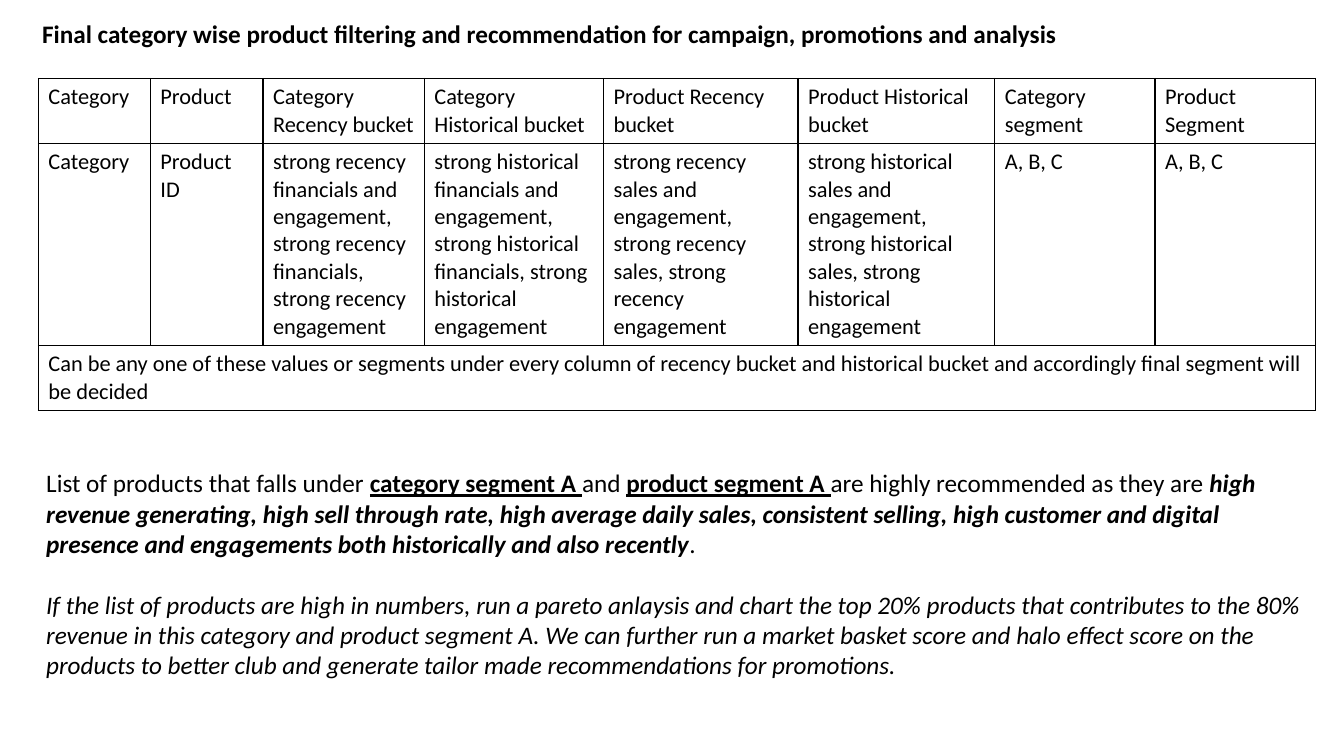
from dataclasses import dataclass

from lxml.etree import SubElement
from pptx import Presentation
from pptx.dml.color import RGBColor
from pptx.enum.text import MSO_AUTO_SIZE
from pptx.oxml.ns import qn
from pptx.util import Pt


@dataclass(frozen=True)
class Theme:
    font: str = "Calibri"
    ink: str = "000000"
    body: int = 18
    cell: int = 16
    border: int = 1
    gap: int = 22


THEME = Theme()

TITLE = "Final category wise product filtering and recommendation for campaign, promotions and analysis"
HEADINGS = ["Category", "Product", "Category Recency bucket", "Category Historical bucket",
            "Product Recency bucket", "Product Historical bucket", "Category segment", "Product Segment"]


def bucket_values(period, measure):
    start = f"strong {period}"
    return f"{start} {measure} and engagement, {start} {measure}, {start} engagement"


VALUES = ["Category", "Product ID",
          *[bucket_values(period, measure)
            for measure in ("financials", "sales") for period in ("recency", "historical")],
          "A, B, C", "A, B, C"]
NOTE = ("Can be any one of these values or segments under every column of recency bucket "
        "and historical bucket and accordingly final segment will be decided")
COLUMN_WIDTHS = [80, 80.5, 115.2, 128, 139, 140.5, 114.5, 114.5]
ROW_HEIGHTS = [46.4, 144.4, 46.4]

RECOMMENDATION = [
    ("List of products that falls under ", ""),
    ("category segment A ", "bu"),
    ("and ", ""),
    ("product segment A ", "bu"),
    ("are highly recommended as they are ", ""),
    ("high revenue generating, high sell through rate, high average daily sales, consistent selling, "
     "high customer and digital presence and engagements both historically and also recently", "bi"),
    (".", ""),
]
NEXT_STEP = [
    ("If the list of products are high in numbers, run a pareto anlaysis and chart the top 20% products "
     "that contributes to the 80% revenue in this category and product segment A. We can further run a "
     "market basket score and halo effect score on the products to better club and generate tailor made "
     "recommendations for promotions.", "i"),
]


def style_span(span, size, marks=""):
    font = span.font
    font.name = THEME.font
    font.size = Pt(size)
    font.color.rgb = RGBColor.from_string(THEME.ink)
    font.bold = "b" in marks
    font.italic = "i" in marks
    font.underline = "u" in marks


def add_text(page, left, top, width, height, paragraphs):
    box = page.shapes.add_textbox(Pt(left), Pt(top), Pt(width), Pt(height))
    frame = box.text_frame
    frame.word_wrap = True
    frame.auto_size = MSO_AUTO_SIZE.SHAPE_TO_FIT_TEXT
    for index, spans in enumerate(paragraphs):
        para = frame.add_paragraph() if index else frame.paragraphs[0]
        para.space_before = Pt(THEME.gap if index else 0)
        for text, marks in spans:
            span = para.add_run()
            span.text = text
            style_span(span, THEME.body, marks)


def style_cell(cell):
    properties = cell._tc.get_or_add_tcPr()
    for side in ("a:lnL", "a:lnR", "a:lnT", "a:lnB"):
        line = SubElement(properties, qn(side), w=str(Pt(THEME.border)))
        fill = SubElement(line, qn("a:solidFill"))
        SubElement(fill, qn("a:srgbClr"), val=THEME.ink)
    cell.fill.background()
    for para in cell.text_frame.paragraphs:
        for span in para.runs:
            style_span(span, THEME.cell)


def add_segment_table(page, left, top, rows):
    frame = page.shapes.add_table(len(rows), len(COLUMN_WIDTHS), Pt(left), Pt(top),
                                  Pt(sum(COLUMN_WIDTHS)), Pt(sum(ROW_HEIGHTS)))
    table = frame.table
    table.first_row = False
    table.horz_banding = False
    for column, width in zip(table.columns, COLUMN_WIDTHS):
        column.width = Pt(width)
    for row, height, texts in zip(table.rows, ROW_HEIGHTS, rows):
        row.height = Pt(height)
        for cell, text in zip(row.cells, texts):
            cell.text = text
    last = len(rows) - 1
    table.cell(last, 0).merge(table.cell(last, len(COLUMN_WIDTHS) - 1))
    for cell in table.iter_cells():
        style_cell(cell)


def main():
    deck = Presentation()
    deck.slide_width, deck.slide_height = Pt(960), Pt(540)
    page = deck.slides.add_slide(deck.slide_layouts[6])
    add_segment_table(page, 27.4, 56, [HEADINGS, VALUES, [NOTE]])
    add_text(page, 25.9, 330.5, 913, 160, [RECOMMENDATION, NEXT_STEP])
    add_text(page, 23, 9.4, 768, 29, [[(TITLE, "b")]])
    deck.save("out.pptx")


if __name__ == "__main__":
    main()
